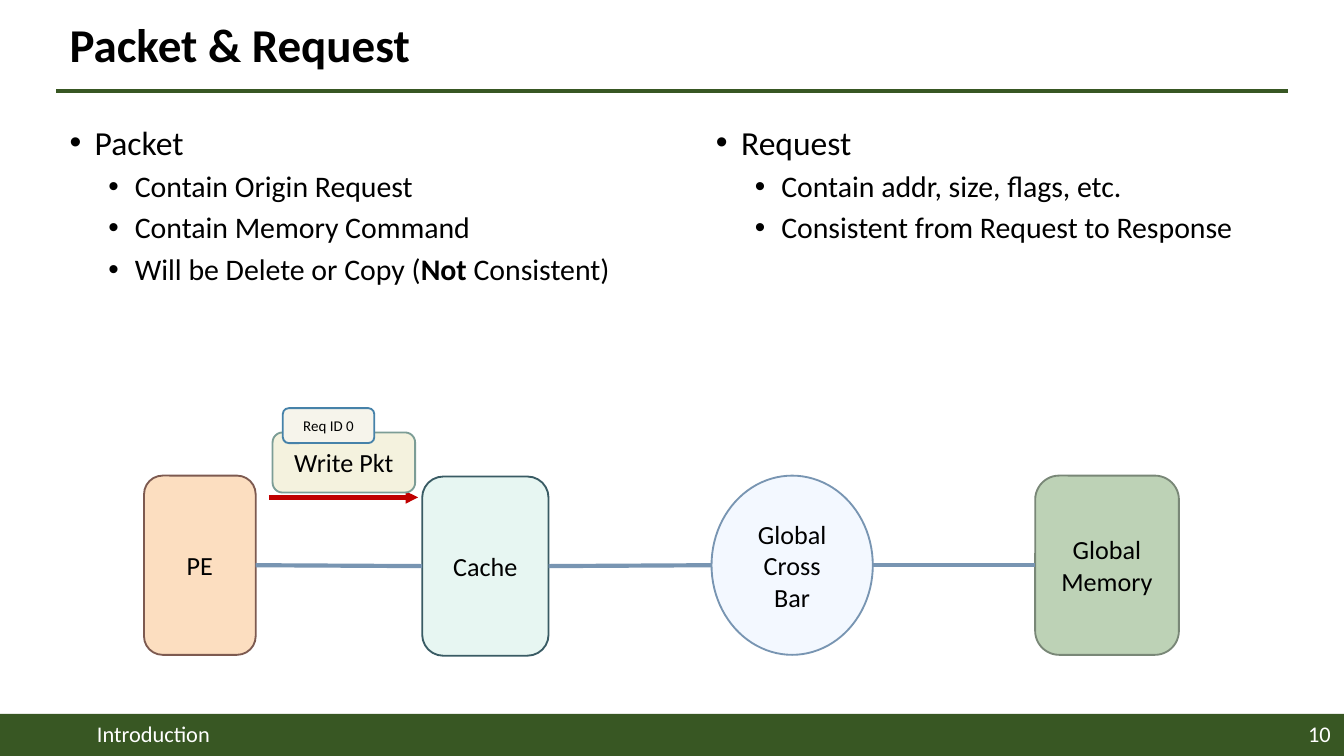
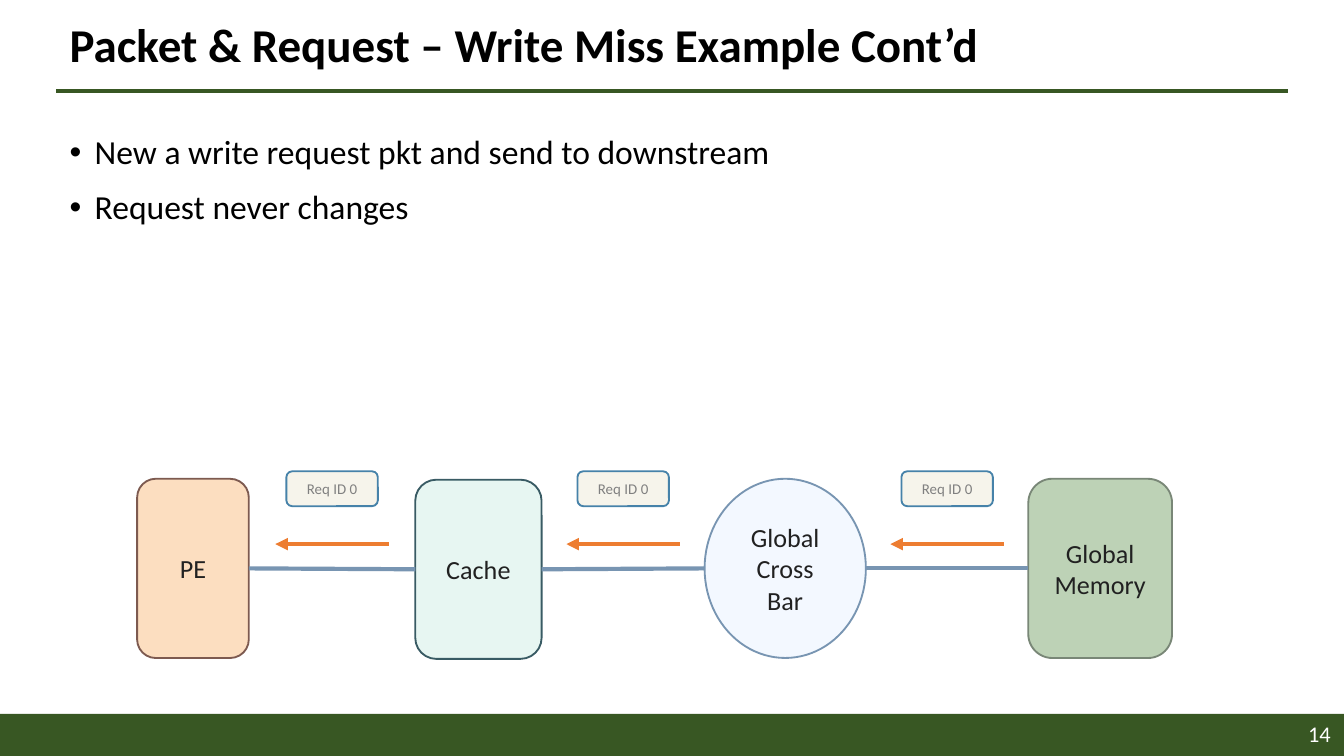
from lxml.etree import SubElement
from pptx import Presentation
from pptx.dml.color import RGBColor
from pptx.enum.shapes import MSO_CONNECTOR, MSO_SHAPE
from pptx.enum.text import MSO_ANCHOR, PP_ALIGN
from pptx.oxml.ns import qn
from pptx.util import Pt

FONT = "Calibri"
GREEN = RGBColor(0x38, 0x57, 0x23)
BLACK = RGBColor(0x00, 0x00, 0x00)
WHITE = RGBColor(0xFF, 0xFF, 0xFF)
CHARCOAL = RGBColor(0x21, 0x21, 0x21)
GREY = RGBColor(0x80, 0x80, 0x80)
STEEL = RGBColor(0x78, 0x95, 0xB2)
RED = RGBColor(0xC0, 0x00, 0x00)
ORANGE = RGBColor(0xED, 0x7D, 0x31)
# Fill and outline pairs
PE_COLORS = RGBColor(0xFC, 0xDE, 0xC0), RGBColor(0x7D, 0x5A, 0x50)
CACHE_COLORS = RGBColor(0xE7, 0xF6, 0xF2), RGBColor(0x39, 0x5B, 0x64)
CROSSBAR_COLORS = RGBColor(0xF3, 0xF8, 0xFF), STEEL
MEMORY_COLORS = RGBColor(0xBD, 0xD2, 0xB6), RGBColor(0x79, 0x87, 0x77)
PACKET_COLORS = RGBColor(0xF4, 0xF2, 0xDE), RGBColor(0x7C, 0x9D, 0x96)
REQUEST_COLORS = RGBColor(0xF6, 0xF4, 0xEB), RGBColor(0x46, 0x82, 0xA9)

WIDTH, HEIGHT = 720, 405
MARGIN = 30.2
BAND_TOP = 382.4
NODE_HEIGHT = 96
REQUEST_WIDTH, REQUEST_HEIGHT = 49, 18.7
# Label, shape, offset from the left, drop from the top, width, colours
NODES = [
    ("PE", MSO_SHAPE.ROUNDED_RECTANGLE, 0, 0, 59.8, PE_COLORS),
    ("Cache", MSO_SHAPE.ROUNDED_RECTANGLE, 149, 0.5, 67.7, CACHE_COLORS),
    ("Global Cross Bar", MSO_SHAPE.OVAL, 304, 0, 86.4, CROSSBAR_COLORS),
    ("Global Memory", MSO_SHAPE.ROUNDED_RECTANGLE, 477.4, 0, 77, MEMORY_COLORS),
]
# Size, left indent, hanging indent, space before for each bullet level
LEVELS = [(18, 13.5, 13.5, 10), (16, 35, 14.2, 5)]


def set_font(paragraph, size, color, bold=False):
    font = paragraph.font
    font.name, font.size, font.bold = FONT, Pt(size), bold
    font.color.rgb = color


def add_label(slide, text, box, size, color, align=PP_ALIGN.LEFT, bold=False):
    frame = slide.shapes.add_textbox(*map(Pt, box)).text_frame
    frame.word_wrap = True
    frame.vertical_anchor = MSO_ANCHOR.MIDDLE
    label = frame.paragraphs[0]
    label.text = text
    label.alignment = align
    set_font(label, size, color, bold)
    return label


def add_node(slide, kind, box, colors, text="", size=14, color=BLACK):
    node = slide.shapes.add_shape(kind, *map(Pt, box))
    node.shadow.inherit = False
    fill, outline = colors
    node.fill.solid()
    node.fill.fore_color.rgb = fill
    node.line.color.rgb = outline
    node.line.width = Pt(1)
    if text:
        frame = node.text_frame
        frame.word_wrap = True
        frame.vertical_anchor = MSO_ANCHOR.MIDDLE
        label = frame.paragraphs[0]
        label.text = text
        label.alignment = PP_ALIGN.CENTER
        set_font(label, size, color)
    return node


def add_line(slide, x1, y1, x2, y2, color, arrow_end=None):
    line = slide.shapes.add_connector(
        MSO_CONNECTOR.STRAIGHT, Pt(x1), Pt(y1), Pt(x2), Pt(y2))
    line.line.color.rgb = color
    line.line.width = Pt(2.25)
    properties = line._element.spPr
    SubElement(properties, qn("a:effectLst"))
    if arrow_end:
        SubElement(properties.find(qn("a:ln")), qn(f"a:{arrow_end}"), type="triangle")


def add_frame(slide, title, number, section=None):
    """Title, rule and footer band."""
    band = add_node(slide, MSO_SHAPE.RECTANGLE,
                    (0, BAND_TOP, WIDTH, HEIGHT - BAND_TOP), (GREEN, GREEN))
    band.line.fill.background()
    add_line(slide, MARGIN, 48.8, WIDTH - MARGIN, 48.8, GREEN)
    heading = add_label(slide, title, (MARGIN, 8, 659, 34.5), 25.2, BLACK, bold=True)
    heading.line_spacing = 0.9
    if section:
        add_label(slide, section, (MARGIN, BAND_TOP, 104, 21.6), 12, WHITE, PP_ALIGN.CENTER)
    add_label(slide, number, (558, BAND_TOP, 162, 21.6), 12, WHITE, PP_ALIGN.RIGHT)


def add_bullets(slide, box, items):
    """Bullets from (level, text) pairs; **marks** set bold runs."""
    frame = slide.shapes.add_textbox(*map(Pt, box)).text_frame
    frame.word_wrap = True
    for index, (level, text) in enumerate(items):
        bullet = frame.add_paragraph() if index else frame.paragraphs[0]
        size, indent, hanging, space = LEVELS[level]
        bullet.level = level
        bullet.line_spacing = 0.9
        if index:
            bullet.space_before = Pt(space)
        properties = bullet._p.get_or_add_pPr()
        properties.set("marL", str(Pt(indent)))
        properties.set("indent", str(-Pt(hanging)))
        SubElement(properties, qn("a:buFont"), typeface="Arial")
        SubElement(properties, qn("a:buChar"), char="•")
        set_font(bullet, size, BLACK)
        for part, words in enumerate(text.split("**")):
            run = bullet.add_run()
            run.text = words
            if part % 2:
                run.font.bold = True


def add_pipeline(slide, left, top, color):
    """Memory path from PE to global memory; returns the gaps between nodes."""
    for text, kind, offset, drop, width, colors in NODES:
        add_node(slide, kind, (left + offset, top + drop, width, NODE_HEIGHT),
                 colors, text, color=color)
    gaps = []
    for (_, _, offset, drop, width, _), (_, _, next_offset, next_drop, _, _) in zip(NODES, NODES[1:]):
        start, end = left + offset + width, left + next_offset
        middle = top + NODE_HEIGHT / 2
        add_line(slide, start, middle + drop, end, middle + next_drop, STEEL)
        gaps.append((start, end))
    return gaps


def add_request(slide, left, top, color):
    add_node(slide, MSO_SHAPE.ROUNDED_RECTANGLE,
             (left, top, REQUEST_WIDTH, REQUEST_HEIGHT), REQUEST_COLORS, "Req ID 0", 8, color)


def add_write_packet(slide, left, top):
    """Packet carrying its request, above the arrow to the cache."""
    add_line(slide, left - 2, top + 47.8, left + 78, top + 47.8, RED, "tailEnd")
    add_node(slide, MSO_SHAPE.ROUNDED_RECTANGLE, (left, top + 13, 76.4, 32.2),
             PACKET_COLORS, "Write Pkt")
    add_request(slide, left + 5.5, top, BLACK)


def add_response(slide, gap, top):
    """Request travelling back, centred over one link."""
    center = sum(gap) / 2
    half_arrow = 30.4
    add_line(slide, center - half_arrow, top + 39, center + half_arrow, top + 39,
             ORANGE, "headEnd")
    add_request(slide, center - REQUEST_WIDTH / 2, top, GREY)


def build_overview(slide):
    add_frame(slide, "Packet & Request", "10", "Introduction")
    add_bullets(slide, (MARGIN, 64, 313, 105), [
        (0, "Packet"),
        (1, "Contain Origin Request"),
        (1, "Contain Memory Command"),
        (1, "Will be Delete or Copy (**Not** Consistent)"),
    ])
    add_bullets(slide, (376.5, 64, 313, 105), [
        (0, "Request"),
        (1, "Contain addr, size, flags, etc."),
        (1, "Consistent from Request to Response"),
    ])
    gaps = add_pipeline(slide, 77.2, 254.8, BLACK)
    add_write_packet(slide, gaps[0][0] + 9, 218.7)


def build_write_miss(slide):
    add_frame(slide, "Packet & Request – Write Miss Example Cont’d", "14")
    add_bullets(slide, (MARGIN, 69.2, 631.5, 96), [
        (0, "New a write request pkt and send to downstream"),
        (0, "Request never changes"),
    ])
    for gap in add_pipeline(slide, 73.5, 256.5, CHARCOAL):
        add_response(slide, gap, 252.5)


def main():
    deck = Presentation()
    deck.slide_width, deck.slide_height = Pt(WIDTH), Pt(HEIGHT)
    for build in (build_overview, build_write_miss):
        build(deck.slides.add_slide(deck.slide_layouts[6]))
    deck.save("out.pptx")


if __name__ == "__main__":
    main()
